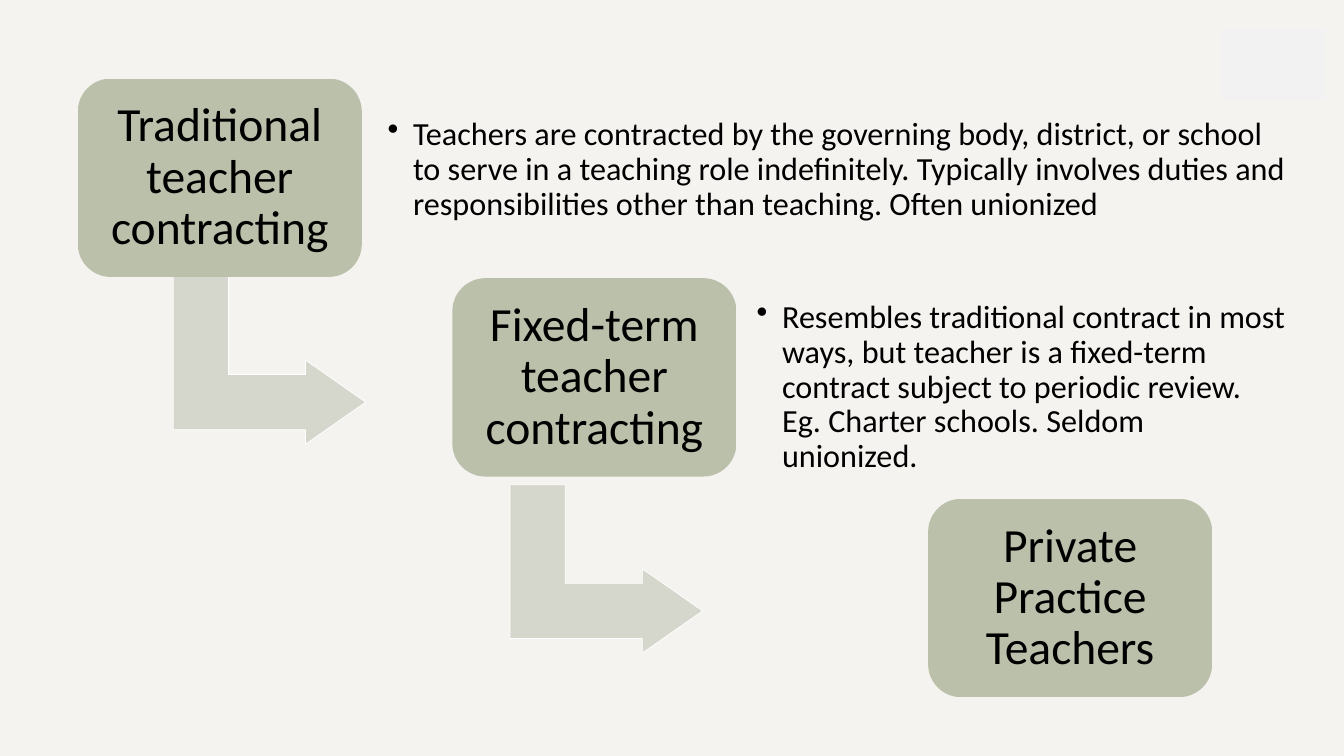
import pptx
import pptx.dml.color
import pptx.enum.shapes
import pptx.enum.text
import pptx.oxml
import pptx.oxml.ns
import pptx.util
from pptx.util import Cm, Pt

MSO_SHAPE = pptx.enum.shapes.MSO_SHAPE
PP_ALIGN = pptx.enum.text.PP_ALIGN


def rgb(value):
    return pptx.dml.color.RGBColor.from_string(value)


def set_text(sp, text, size, align, margin):
    tf = sp.text_frame
    tf.word_wrap = True
    tf.vertical_anchor = pptx.enum.text.MSO_ANCHOR.MIDDLE
    tf.margin_left = tf.margin_right = tf.margin_top = tf.margin_bottom = Cm(margin)
    p = tf.paragraphs[0]
    p.text = text
    p.alignment = align
    p.line_spacing = 0.9
    p.font.size = Pt(size)
    p.font.name = "Calibri"
    p.font.color.rgb = rgb("000000")
    return p


prs = pptx.Presentation()
prs.slide_width, prs.slide_height = Cm(33.87), Cm(19.05)
s = prs.slides.add_slide(prs.slide_layouts[6])
s.background.fill.solid()
s.background.fill.fore_color.rgb = rgb("F5F3EF")

# Bent arrows between the steps
for left, top in [(4.67, 6.65), (13.16, 11.91)]:
    sp = s.shapes.add_shape(MSO_SHAPE.BENT_UP_ARROW, Cm(left), Cm(top), Cm(4.24), Cm(4.85))
    sp.rotation = 90
    for i, value in enumerate([0.328, 0.25, 0.358]):
        sp.adjustments[i] = value
    sp.shadow.inherit = False
    sp.fill.solid()
    sp.fill.fore_color.rgb = rgb("D5D7CD")
    sp.line.color.rgb = rgb("FFFFFF")
    sp.line.width = Pt(0.5)

# Contract types
steps = [
    (1.96, 1.98, "Traditional teacher contracting"),
    (11.4, 7.01, "Fixed-term teacher contracting"),
    (23.39, 12.57, "Private Practice Teachers"),
]
for left, top, text in steps:
    sp = s.shapes.add_shape(MSO_SHAPE.ROUNDED_RECTANGLE, Cm(left), Cm(top), Cm(7.16), Cm(5))
    sp.shadow.inherit = False
    sp.fill.gradient()
    sp.fill.gradient_angle = 270
    for stop, colour in zip(sp.fill.gradient_stops, ["BBC0AB", "B9BEA8"]):
        stop.color.rgb = rgb(colour)
    sp.line.fill.background()
    set_text(sp, text, 34, PP_ALIGN.CENTER, 0.35)

# Descriptions beside the first two steps
descriptions = [
    (9.47, 2.26, 23.27,
     "Teachers are contracted by the governing body, district, or school to serve in a "
     "teaching role indefinitely. Typically involves duties and responsibilities other "
     "than teaching. Often unionized"),
    (18.77, 7.75, 13.97,
     "Resembles traditional contract in most ways, but teacher is a fixed-term contract "
     "subject to periodic review. Eg. Charter schools. Seldom unionized."),
]
for left, top, width, text in descriptions:
    sp = s.shapes.add_textbox(Cm(left), Cm(top), Cm(width), Cm(4.04))
    p = set_text(sp, text, 23, PP_ALIGN.LEFT, 0.3)
    pPr = p._p.get_or_add_pPr()
    pPr.set("marL", str(Cm(0.64)))
    pPr.set("indent", str(-Cm(0.64)))
    bullet = pptx.oxml.parse_xml(
        f'<a:buChar {pptx.oxml.ns.nsdecls("a")} char="•"/>')
    pPr.insert_element_before(bullet, "a:tabLst", "a:defRPr", "a:extLst")

# Pale corner panel
sp = s.shapes.add_shape(MSO_SHAPE.RECTANGLE, Cm(30.78), Cm(0.71), Cm(2.62), Cm(1.83))
sp.shadow.inherit = False
sp.fill.solid()
sp.fill.fore_color.rgb = rgb("F2F2F2")
sp.line.fill.background()

prs.save("out.pptx")
